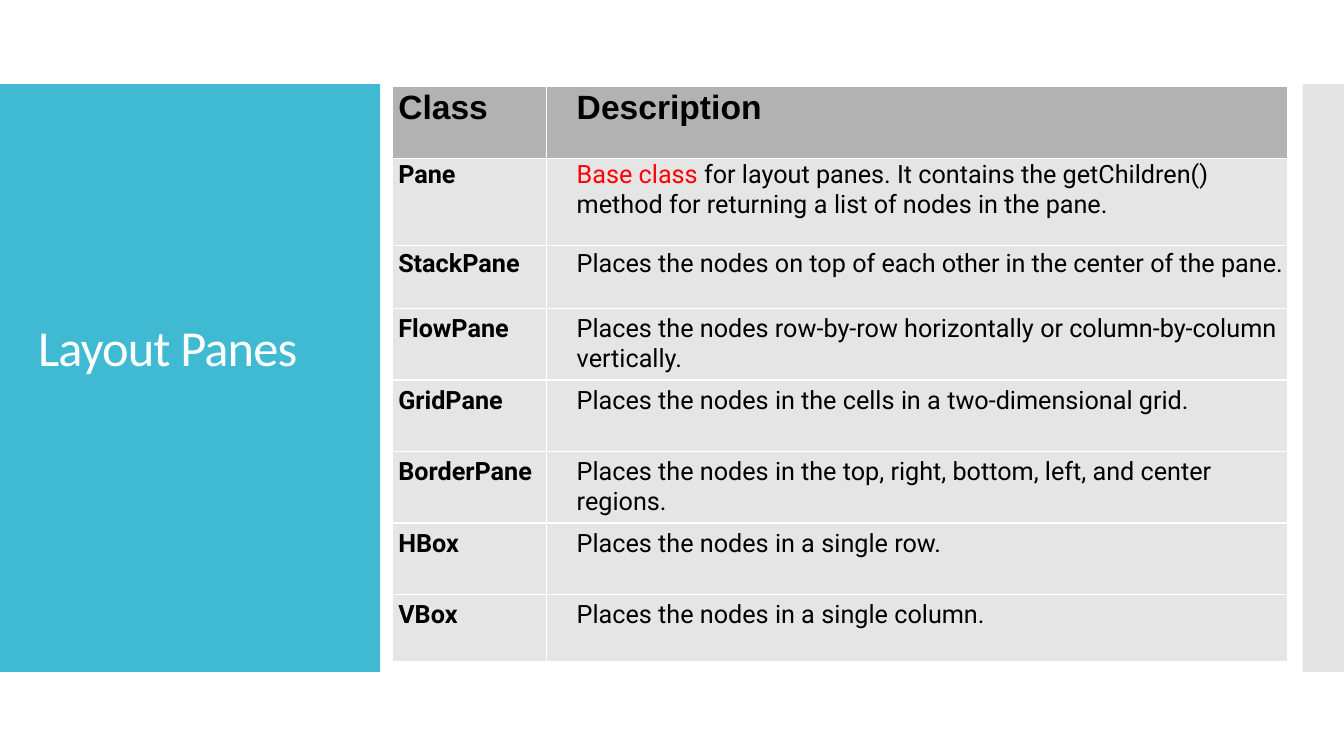
import itertools

import pptx
import pptx.dml.color
import pptx.enum.shapes
import pptx.enum.text
import pptx.util

Inches, Pt = pptx.util.Inches, pptx.util.Pt

TITLE = "Layout Panes"
HEADINGS = ("Class", "Description")
PANES = [
    ("Pane", "Base class for layout panes. It contains the getChildren() method "
             "for returning a list of nodes in the pane."),
    ("StackPane", "Places the nodes on top of each other in the center of the pane."),
    ("FlowPane", "Places the nodes row-by-row horizontally or column-by-column vertically."),
    ("GridPane", "Places the nodes in the cells in a two-dimensional grid."),
    ("BorderPane", "Places the nodes in the top, right, bottom, left, and center regions."),
    ("HBox", "Places the nodes in a single row."),
    ("VBox", "Places the nodes in a single column."),
]
HIGHLIGHTED = {"Base", "class"}
TRACKING = {"of": -0.1, "in": -0.1, "or": -0.1, "other": -0.1, "a": 0.1}

COLORS = {"panel": "40BAD2", "edge": "E3E3E3", "header": "B2B2B2", "body": "E5E5E5",
          "text": "000000", "highlight": "FF0000", "title": "FFFFFF"}
HEADING_FONT = {"name": "Arial", "size": Pt(24), "bold": True}
CLASS_FONT = {"name": "Roboto", "size": Pt(18), "bold": True}
DESCRIPTION_FONT = {**CLASS_FONT, "bold": False}
TITLE_FONT = {"name": "Calibri", "size": Pt(36), "bold": False}

WIDTH, HEIGHT = 13.33, 7.5
BAND_TOP, BAND_HEIGHT = HEIGHT / 9, HEIGHT * 7 / 9
PANEL_WIDTH, EDGE_LEFT = 3.77, 12.92
TABLE_LEFT, TABLE_TOP = 3.89, 0.86
COLUMN_WIDTHS = (1.53, 7.35)
COLUMN_INDENTS = (0.06, 0.3)
ROW_HEIGHTS = [0.71, 0.87, 0.62] + [0.71] * 4 + [0.67]
ROW_INSETS = [0.02, 0.02, 0.03] + [0.06] * 5
SPACES_BEFORE = [1.3, 1.2, 2] + [4.6] * 5


def rgb(role):
    """Return the colour of a role."""
    return pptx.dml.color.RGBColor.from_string(COLORS[role])


def apply(target, values):
    """Set every attribute given in values."""
    for attribute, value in values.items():
        setattr(target, attribute, value)


def add_run(paragraph, words, font, role="text", tracking=0):
    """Append a formatted run, with letter spacing in points."""
    run = paragraph.add_run()
    run.text = words
    apply(run.font, font)
    run.font.color.rgb = rgb(role)
    if tracking:
        run.font._element.set("spc", str(round(tracking * 100)))


def add_band(slide, left, width, role):
    """Draw one plain rectangle of the horizontal band."""
    band = slide.shapes.add_shape(
        pptx.enum.shapes.MSO_SHAPE.RECTANGLE,
        Inches(left), Inches(BAND_TOP), Inches(width), Inches(BAND_HEIGHT))
    band.shadow.inherit = False
    band.fill.solid()
    band.fill.fore_color.rgb = rgb(role)
    band.line.fill.background()


def add_title(slide):
    """Put the title on the coloured panel."""
    frame = slide.shapes.add_textbox(
        Inches(0.28), Inches(0.96), Inches(3.22), Inches(5.03)).text_frame
    apply(frame, {"word_wrap": True,
                  "vertical_anchor": pptx.enum.text.MSO_ANCHOR.MIDDLE})
    frame.paragraphs[0].line_spacing = 0.9
    add_run(frame.paragraphs[0], TITLE, TITLE_FONT, "title", -0.6)


def word_style(word):
    """Return the colour role and letter spacing of a description word."""
    role = "highlight" if word in HIGHLIGHTED else "text"
    return role, TRACKING.get(word, 0)


def add_description(paragraph, description):
    """Write a description, one run for each stretch of equal style."""
    words = description.split()
    spaced = [word + " " for word in words[:-1]] + words[-1:]
    for (role, tracking), stretch in itertools.groupby(
            spaced, key=lambda word: word_style(word.strip())):
        add_run(paragraph, "".join(stretch), DESCRIPTION_FONT, role, tracking)


def add_pane_table(slide):
    """Build the table of pane classes."""
    rows = [HEADINGS] + PANES
    table = slide.shapes.add_table(
        len(rows), len(HEADINGS), Inches(TABLE_LEFT), Inches(TABLE_TOP),
        Inches(sum(COLUMN_WIDTHS)), Inches(sum(ROW_HEIGHTS))).table
    apply(table, {"first_row": False, "horz_banding": False})
    for column, width in zip(table.columns, COLUMN_WIDTHS):
        column.width = Inches(width)
    for r, texts in enumerate(rows):
        table.rows[r].height = Inches(ROW_HEIGHTS[r])
        for c, text in enumerate(texts):
            cell = table.cell(r, c)
            apply(cell, {"margin_left": Inches(COLUMN_INDENTS[c]), "margin_right": 0,
                         "margin_top": Inches(ROW_INSETS[r]), "margin_bottom": 0})
            cell.fill.solid()
            cell.fill.fore_color.rgb = rgb("body" if r else "header")
            paragraph = cell.text_frame.paragraphs[0]
            paragraph.space_before = Pt(SPACES_BEFORE[r])
            if r and c:
                add_description(paragraph, text)
            else:
                add_run(paragraph, text, CLASS_FONT if r else HEADING_FONT)


deck = pptx.Presentation()
apply(deck, {"slide_width": Inches(WIDTH), "slide_height": Inches(HEIGHT)})
pane_slide = deck.slides.add_slide(deck.slide_layouts[6])
add_band(pane_slide, 0, PANEL_WIDTH, "panel")
add_band(pane_slide, EDGE_LEFT, WIDTH - EDGE_LEFT, "edge")
add_title(pane_slide)
add_pane_table(pane_slide)
deck.save("out.pptx")
